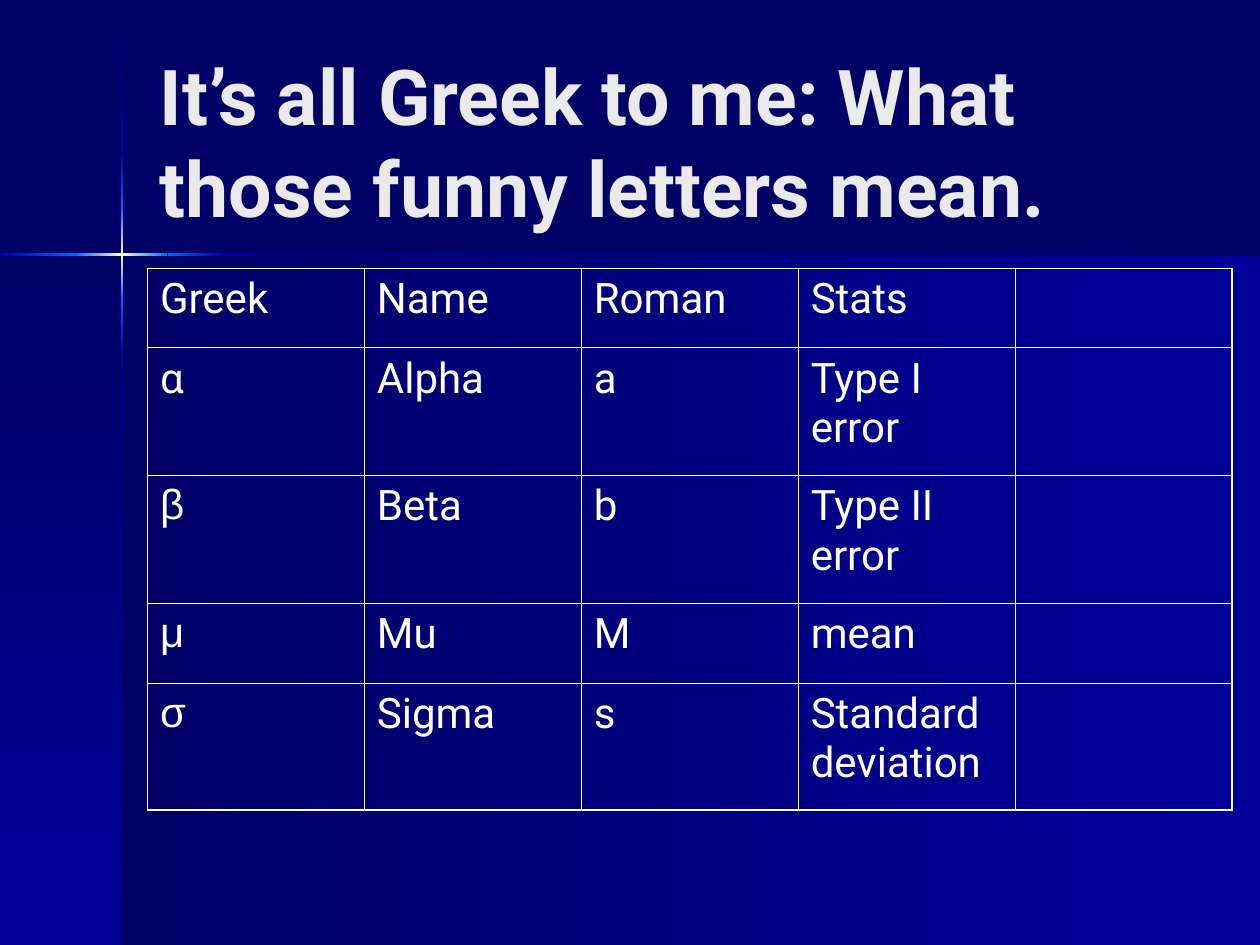
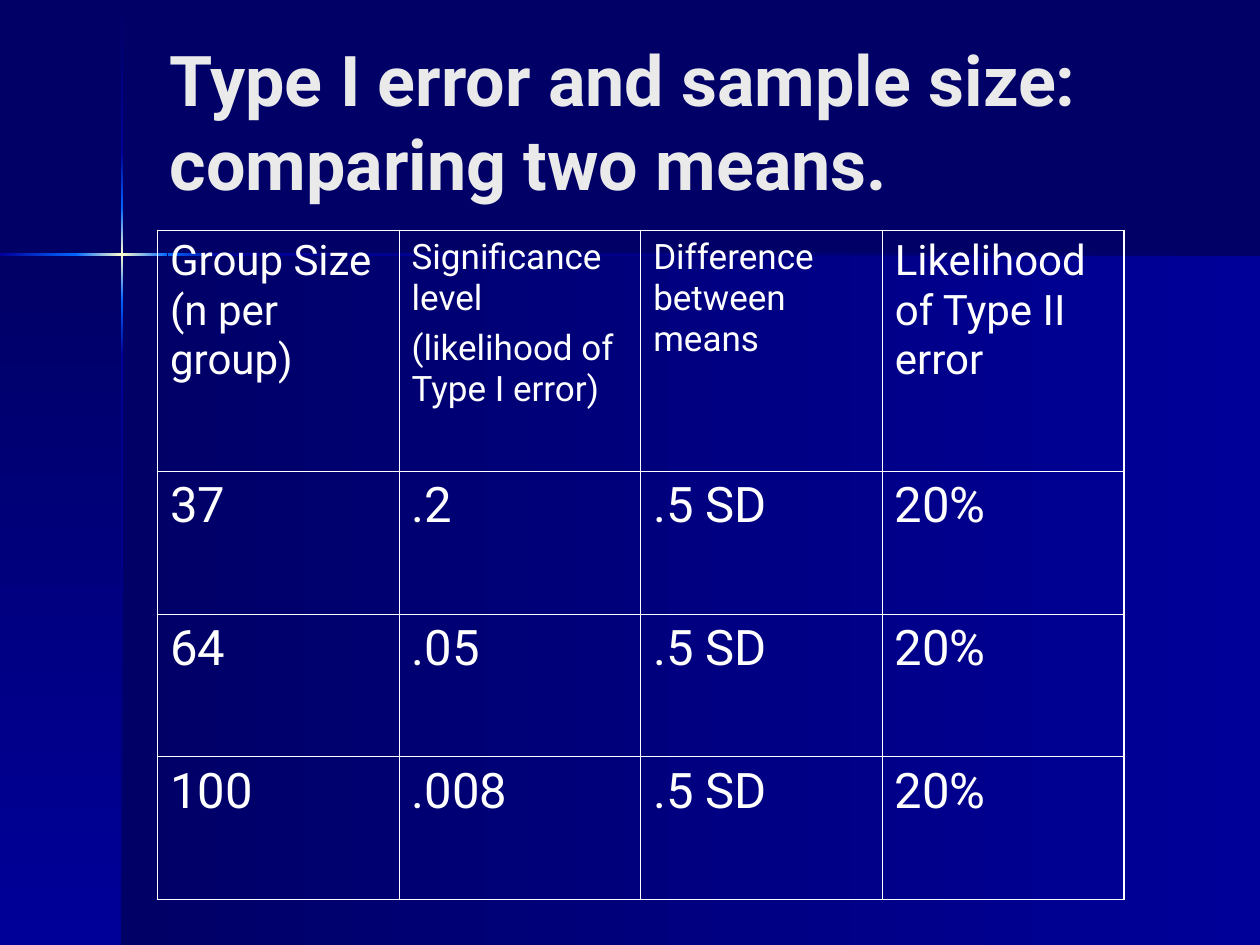
"""Build two slides on Greek letters and on error and sample size."""
from dataclasses import dataclass
from itertools import pairwise

from lxml.etree import SubElement
from pptx import Presentation
from pptx.dml.color import RGBColor
from pptx.enum.shapes import MSO_SHAPE
from pptx.enum.text import MSO_ANCHOR
from pptx.oxml.ns import qn
from pptx.slide import Slide
from pptx.table import _Cell
from pptx.text.text import TextFrame
from pptx.util import Emu, Inches, Pt


@dataclass(frozen=True)
class Theme:
    """Colours, fonts, type sizes and line widths."""
    night: str = "000066"
    navy: str = "000099"
    glow: str = "0066FF"
    spark: str = "FFFFCC"
    title: str = "EAEAEA"
    white: str = "FFFFFF"
    font: str = "Roboto"
    greek: str = "Arial"
    head: int = 44
    tight: int = 40
    large: int = 28
    body: int = 24
    small: int = 20
    frame: float = 1.08
    rule: float = 0.45


@dataclass(frozen=True)
class Grid:
    """A slide split into equal columns and rows."""
    wide: int = Inches(10)
    high: int = Inches(7.5)
    cols: int = 100
    rows: int = 75

    def x(self, count: float) -> Emu:
        """Return the width of some columns."""
        return Emu(round(self.wide * count / self.cols))

    def y(self, count: float) -> Emu:
        """Return the height of some rows."""
        return Emu(round(self.high * count / self.rows))


@dataclass(frozen=True)
class Box:
    """A place on the grid."""
    left: float
    top: float
    width: float
    height: float

    def place(self) -> tuple[Emu, Emu, Emu, Emu]:
        """Return the place as slide lengths."""
        return GRID.x(self.left), GRID.y(self.top), GRID.x(self.width), GRID.y(self.height)


@dataclass(frozen=True)
class Band:
    """A box with a blend along an angle in degrees."""
    box: Box
    tones: tuple[str, ...]
    angle: int


@dataclass(frozen=True)
class Text:
    """Lines of text in one style."""
    lines: tuple[str, ...]
    size: int
    tone: str
    font: str
    bold: bool = False


@dataclass(frozen=True)
class Page:
    """A title and a table that share a left edge."""
    left: float
    top: float
    title: Text
    start: float
    width: float
    rows: tuple[float, ...]
    cells: list[list[Text]]


THEME = Theme()
GRID = Grid()
CROSS_X, CROSS_Y, THICK = 9.7, 20.2, 0.2
TITLE_W, TITLE_H = 82.5, 15.7
FADE = (THEME.night, THEME.navy, THEME.glow, THEME.glow, THEME.navy, THEME.night)
DOWN = (0.1, 12.1, 16.5, 23.8, 28.2, 75)
ACROSS = (0, 6, 13.3, 17.7, 100)


def blend(first: str, last: str) -> tuple[str, ...]:
    """Return the tones of a ray part, with a spark between two glows."""
    return (first, THEME.spark, last) if first == last else (first, last)


def bands() -> list[Band]:
    """Return the two panels and the parts of the crossing rays."""
    rest = GRID.rows - CROSS_Y
    found = [
        Band(Box(CROSS_X, CROSS_Y, GRID.cols - CROSS_X, rest), (THEME.night, THEME.navy), 0),
        Band(Box(0, CROSS_Y, CROSS_X, rest), (THEME.night, THEME.navy), 90),
    ]
    for (a, b), tones in zip(pairwise(DOWN), pairwise(FADE)):
        found.append(Band(Box(CROSS_X - THICK / 2, a, THICK, b - a), blend(*tones), 90))
    for (a, b), tones in zip(pairwise(ACROSS), pairwise(FADE[1:])):
        found.append(Band(Box(a, CROSS_Y - THICK / 2, b - a, THICK), blend(*tones), 0))
    return found


def draw_band(slide: Slide, band: Band) -> None:
    """Draw a box filled with a blend."""
    shape = slide.shapes.add_shape(MSO_SHAPE.RECTANGLE, *band.box.place())
    shape.shadow.inherit = False
    shape.line.fill.background()
    shape.fill.gradient()
    shape.fill.gradient_angle = -band.angle % 360
    stops = shape.fill._fill._gradFill.find(qn("a:gsLst"))
    for stop in list(stops):
        stops.remove(stop)
    for i, tone in enumerate(band.tones):
        stop = SubElement(stops, qn("a:gs"), pos=str(100000 * i // (len(band.tones) - 1)))
        SubElement(stop, qn("a:srgbClr"), val=tone)


def write(frame: TextFrame, text: Text) -> None:
    """Write each line as a paragraph with one run."""
    frame.word_wrap = True
    for i, line in enumerate(text.lines):
        para = frame.add_paragraph() if i else frame.paragraphs[0]
        if i:
            para.space_before = Pt(text.size / 4)
        run = para.add_run()
        run.text = line
        run.font.size = Pt(text.size)
        run.font.name = text.font
        run.font.bold = text.bold
        run.font.color.rgb = RGBColor.from_string(text.tone)


def edge(cell: _Cell, side: str, width: float) -> None:
    """Draw one side of a cell."""
    line = SubElement(cell._tc.get_or_add_tcPr(), qn(f"a:ln{side}"), w=str(Pt(width)))
    fill = SubElement(line, qn("a:solidFill"))
    SubElement(fill, qn("a:srgbClr"), val=THEME.white)


def draw_table(slide: Slide, page: Page) -> None:
    """Draw a clear table with a bold frame and thin rules."""
    deep, wide = len(page.rows), len(page.cells[0])
    box = Box(page.left, page.start, page.width, sum(page.rows))
    table = slide.shapes.add_table(deep, wide, *box.place()).table
    table.first_row = table.horz_banding = False
    for col in table.columns:
        col.width = GRID.x(page.width / wide)
    for r, high in enumerate(page.rows):
        table.rows[r].height = GRID.y(high)
        for c, text in enumerate(page.cells[r]):
            cell = table.cell(r, c)
            outer = {"L": c == 0, "R": c == wide - 1, "T": r == 0, "B": r == deep - 1}
            for side, out in outer.items():
                edge(cell, side, THEME.frame if out else THEME.rule)
            cell.fill.background()
            if text.lines:
                write(cell.text_frame, text)


def draw_page(slide: Slide, page: Page) -> None:
    """Draw the backdrop, the title and the table."""
    slide.background.fill.solid()
    slide.background.fill.fore_color.rgb = RGBColor.from_string(THEME.night)
    for band in bands():
        draw_band(slide, band)
    box = Box(page.left, page.top, TITLE_W, TITLE_H)
    frame = slide.shapes.add_textbox(*box.place()).text_frame
    frame.vertical_anchor = MSO_ANCHOR.MIDDLE
    write(frame, page.title)
    draw_table(slide, page)


def head(line: str, size: int) -> Text:
    """Return a title."""
    return Text((line,), size, THEME.title, THEME.font, True)


def item(*lines: str, size: int = THEME.body, font: str = THEME.font) -> Text:
    """Return the text of a cell."""
    return Text(lines, size, THEME.white, font)


def greek_page() -> Page:
    """Return the page on Greek letters."""
    terms = (
        ("α", THEME.font, "Alpha", "a", "Type I error"),
        ("β", THEME.greek, "Beta", "b", "Type II error"),
        ("μ", THEME.greek, "Mu", "M", "mean"),
        ("σ", THEME.greek, "Sigma", "s", "Standard deviation"),
    )
    cells = [[*map(item, ("Greek", "Name", "Roman", "Stats")), item()]]
    cells += [[item(sign, font=font), *map(item, rest), item()] for sign, font, *rest in terms]
    title = head("It’s all Greek to me: What those funny letters mean.", THEME.head)
    return Page(11.7, 3.3, title, 21.3, 86.1, (6.3, 10.15, 10.15, 6.3, 10.1), cells)


def size_page() -> Page:
    """Return the page on sample size."""
    cells = [[
        item("Group Size (n per group)"),
        item("Significance level", "(likelihood of Type I error)", size=THEME.small),
        item("Difference between means", size=THEME.small),
        item("Likelihood of Type II error"),
    ]]
    for group, level in (("37", ".2"), ("64", ".05"), ("100", ".008")):
        cells.append([item(t, size=THEME.large) for t in (group, level, ".5 SD", "20%")])
    title = head("Type I error and sample size: comparing two means.", THEME.tight)
    return Page(12.5, 1.7, title, 18.3, 76.7, (19.1, *[11.33] * 3), cells)


def main() -> None:
    """Build and save the deck."""
    deck = Presentation()
    deck.slide_width, deck.slide_height = GRID.wide, GRID.high
    for page in (greek_page(), size_page()):
        draw_page(deck.slides.add_slide(deck.slide_layouts[6]), page)
    deck.save("out.pptx")


if __name__ == "__main__":
    main()
